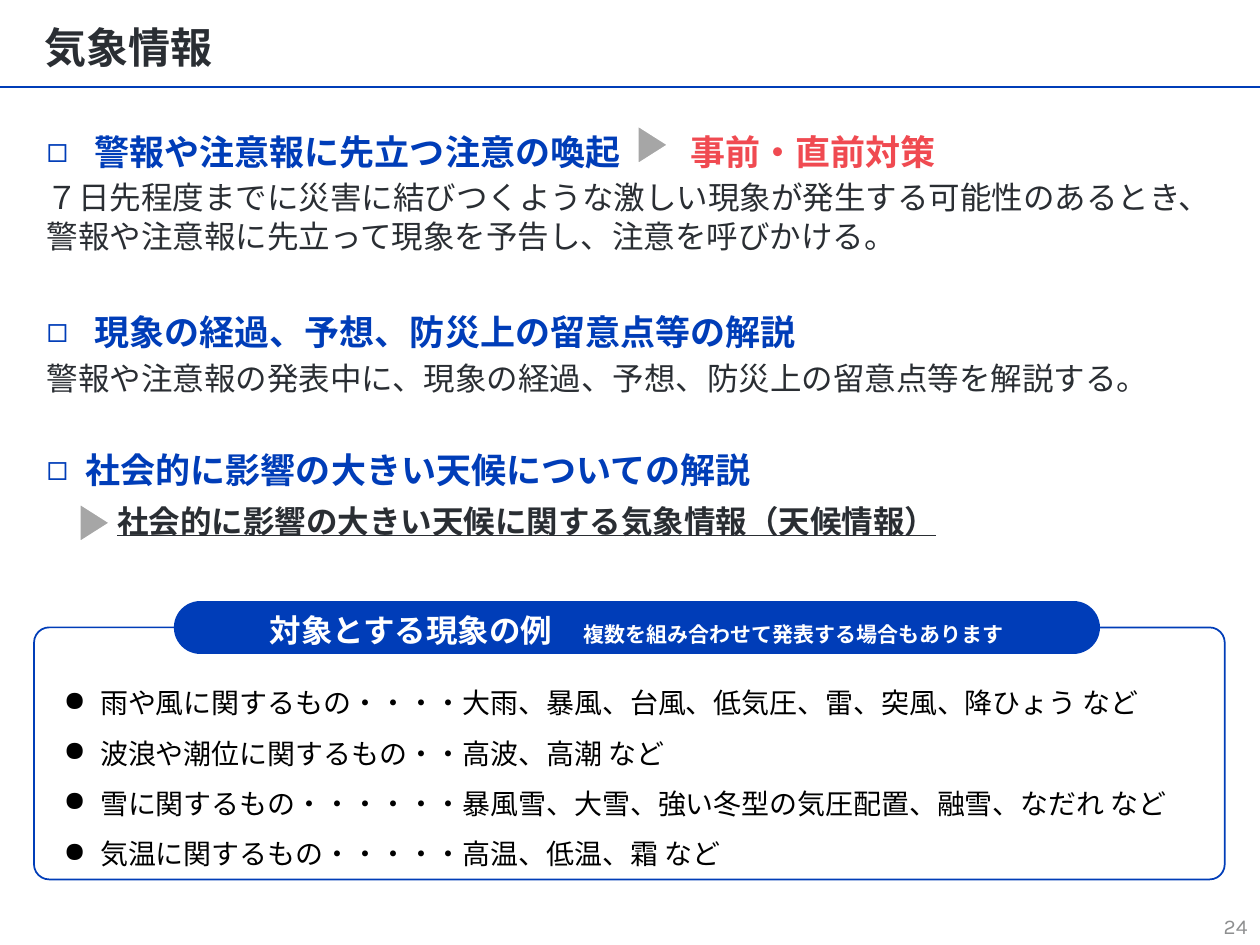
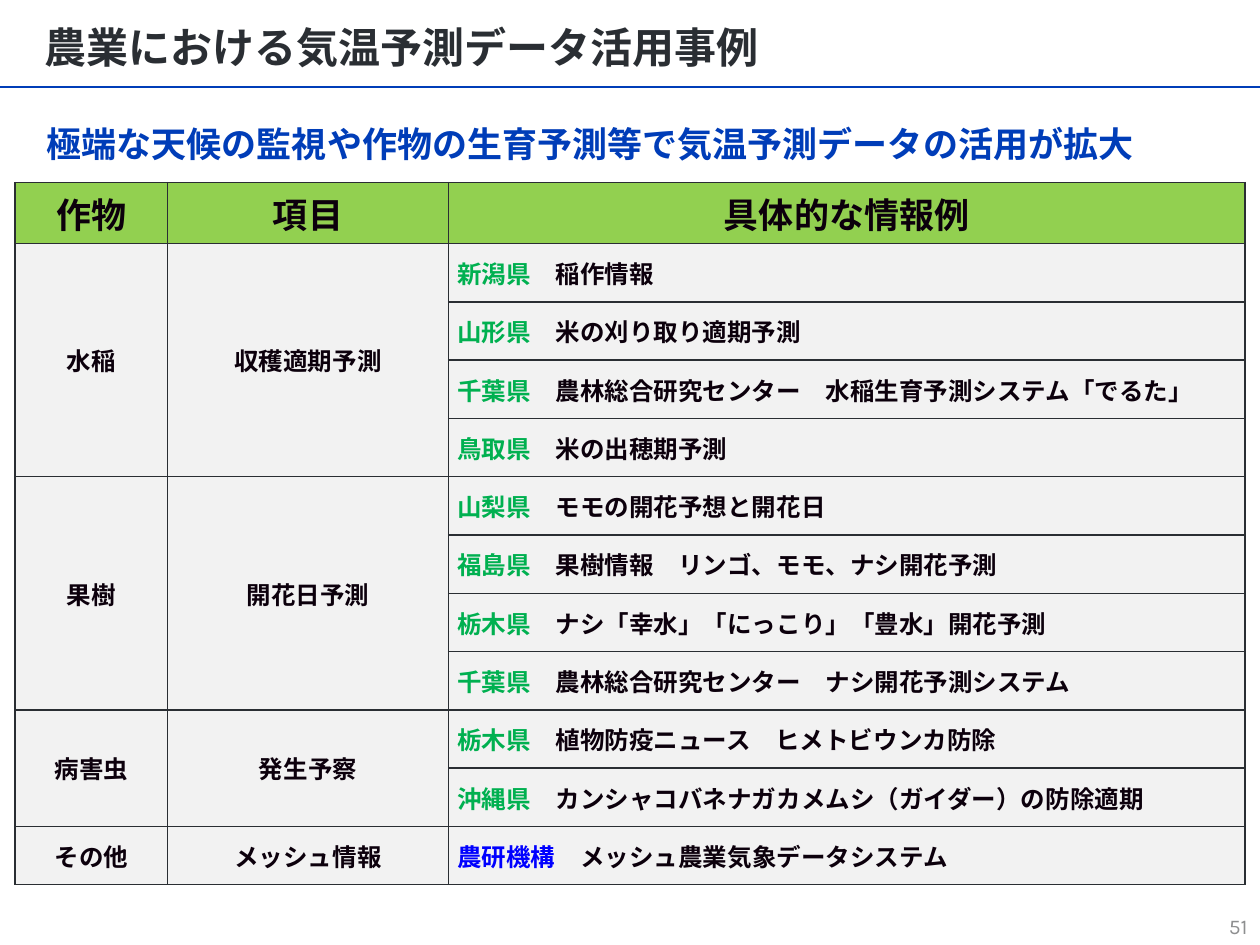
from dataclasses import dataclass

from lxml import etree
from pptx import Presentation
from pptx.dml.color import RGBColor
from pptx.enum.shapes import MSO_CONNECTOR, MSO_SHAPE
from pptx.enum.text import MSO_ANCHOR, MSO_AUTO_SIZE, PP_ALIGN
from pptx.oxml.ns import qn
from pptx.util import Inches, Pt

STRAIGHT = MSO_CONNECTOR.STRAIGHT
ROUNDED, TRIANGLE = MSO_SHAPE.ROUNDED_RECTANGLE, MSO_SHAPE.ISOSCELES_TRIANGLE
TOP, MIDDLE, BOTTOM = MSO_ANCHOR.TOP, MSO_ANCHOR.MIDDLE, MSO_ANCHOR.BOTTOM
LEFT, CENTER, RIGHT = PP_ALIGN.LEFT, PP_ALIGN.CENTER, PP_ALIGN.RIGHT
FIXED_SIZE = MSO_AUTO_SIZE.NONE

BLUE = RGBColor(0x00, 0x3D, 0xB8)
INK = RGBColor(0x2A, 0x2E, 0x33)
RED = RGBColor(0xF0, 0x4A, 0x51)
GRAY = RGBColor(0xA6, 0xA6, 0xA6)
NUMBER_GRAY = RGBColor(0x8E, 0x8F, 0x90)
WHITE = RGBColor(0xFF, 0xFF, 0xFF)
BLACK = RGBColor(0x00, 0x00, 0x00)
HEADER_GREEN = RGBColor(0x92, 0xD0, 0x50)
CELL_GRAY = RGBColor(0xF2, 0xF2, 0xF2)
CELL_INK = RGBColor(0x0C, 0x00, 0x0C)
REGION_GREEN = RGBColor(0x00, 0xB0, 0x50)
INSTITUTE_BLUE = RGBColor(0x00, 0x00, 0xFF)

KARLA, NOTO = "Karla", "Noto Sans CJK JP"


@dataclass
class TextRun:
    text: str
    size: float
    color: RGBColor
    bold: bool = False
    underline: bool = False
    font: str = KARLA
    tracking: float = 0  # extra space after each character, points


@dataclass
class TextLine:
    runs: list[TextRun]
    spacing: object = 1.0
    before: float = 0
    align: object = LEFT
    bullet: str = ""
    left: float = 0
    hanging: float = 0


@dataclass
class Crop:
    name: str
    item: str
    examples: list[tuple[str, str]]
    source_color: RGBColor = REGION_GREEN


def write_run(paragraph, item: TextRun) -> None:
    run = paragraph.add_run()
    run.text = item.text
    run.font.size = Pt(item.size)
    run.font.bold = item.bold
    run.font.underline = item.underline
    run.font.color.rgb = item.color
    run.font.name = item.font
    properties = run._r.get_or_add_rPr()
    properties.set("lang", "ja-JP")
    if item.tracking:
        properties.set("spc", str(round(item.tracking * 100)))
    etree.SubElement(properties, qn("a:ea")).set("typeface", item.font)


def write_lines(frame, lines: list[TextLine]) -> None:
    for index, line in enumerate(lines):
        paragraph = frame.add_paragraph() if index else frame.paragraphs[0]
        properties = paragraph._p.get_or_add_pPr()
        properties.set("marL", str(Inches(line.left)))
        properties.set("indent", str(Inches(-line.hanging)))
        if line.bullet:
            etree.SubElement(properties, qn("a:buChar")).set("char", line.bullet)
        else:
            etree.SubElement(properties, qn("a:buNone"))
        paragraph.alignment = line.align
        paragraph.line_spacing = line.spacing
        paragraph.space_before = Pt(line.before)
        for item in line.runs:
            write_run(paragraph, item)


def set_frame(frame, anchor, left=0.1, top=0.05, right=0.1, bottom=0.05) -> None:
    frame.word_wrap = True
    frame.auto_size = FIXED_SIZE
    frame.vertical_anchor = anchor
    frame.margin_left, frame.margin_top = Inches(left), Inches(top)
    frame.margin_right, frame.margin_bottom = Inches(right), Inches(bottom)


def place(shape, left: float, top: float, width: float, height: float) -> None:
    shape.left, shape.top = Inches(left), Inches(top)
    shape.width, shape.height = Inches(width), Inches(height)


def add_base_slide(presentation, title: str, number: str, body_top: float,
                   body_height: float, body: list[TextLine]):
    slide = presentation.slides.add_slide(presentation.slide_layouts[1])

    # Title and the rule below it
    title_shape, body_shape = slide.placeholders
    place(title_shape, 0, 0, 10, 0.68)
    set_frame(title_shape.text_frame, MIDDLE, left=0.35, top=0.16)
    write_lines(title_shape.text_frame,
                [TextLine([TextRun(title, 24, INK, bold=True)], spacing=0.9)])
    rule = slide.shapes.add_connector(STRAIGHT, 0, Inches(0.69),
                                      Inches(10), Inches(0.69))
    rule.line.color.rgb = BLUE
    rule.line.width = Pt(1.5)
    etree.SubElement(rule._element.spPr, qn("a:effectLst"))

    # Body text
    place(body_shape, 0.27, body_top, 9.45, body_height)
    set_frame(body_shape.text_frame, TOP)
    write_lines(body_shape.text_frame, body)

    # Page number
    number_box = slide.shapes.add_textbox(Inches(7.75), Inches(7.1),
                                          Inches(2.25), Inches(0.4))
    set_frame(number_box.text_frame, BOTTOM)
    write_lines(number_box.text_frame,
                [TextLine([TextRun(number, 12, NUMBER_GRAY)], align=RIGHT)])
    return slide


def add_preset(slide, kind, box: tuple[float, float, float, float],
               fill: RGBColor | None, line: RGBColor | None, line_width: float = 1):
    shape = slide.shapes.add_shape(kind, *(Inches(value) for value in box))
    shape.shadow.inherit = False
    if fill is None:
        shape.fill.background()
    else:
        shape.fill.solid()
        shape.fill.fore_color.rgb = fill
    if line is None:
        shape.line.fill.background()
    else:
        shape.line.color.rgb = line
        shape.line.width = Pt(line_width)
    return shape


def heading(text: str, before: float = 0, indent: float = 0.38) -> TextLine:
    return TextLine([TextRun(text, 20, BLUE, bold=True)], Pt(25), before,
                    bullet="◻", left=indent, hanging=indent)


def explanation(text: str, before: float) -> TextLine:
    return TextLine([TextRun(text, 18, INK)], Pt(22), before)


def build_weather_information(presentation) -> None:
    first = heading("警報や注意報に先立つ注意の喚起")
    first.runs += [TextRun("\u3000".strip() or "　", 20, BLUE, tracking=20),
                   TextRun("事前・直前対策", 20, RED, bold=True)]
    body = [
        first,
        explanation("７日先程度までに災害に結びつくような激しい現象が発生する可能性のあるとき、"
                    "警報や注意報に先立って現象を予告し、注意を呼びかける。", 3),
        heading("現象の経過、予想、防災上の留意点等の解説", 31),
        explanation("警報や注意報の発表中に、現象の経過、予想、防災上の留意点等を解説する。", 3.5),
        heading("社会的に影響の大きい天候についての解説", 28.5, 0.31),
        TextLine([TextRun("社会的に影響の大きい天候に関する気象情報（天候情報）", 18, INK,
                          bold=True, underline=True)], Pt(22), 6, left=0.56),
    ]
    slide = add_base_slide(presentation, "気象情報", "24", 0.97, 6.5, body)

    # Framed list of phenomena
    examples = ["雨や風に関するもの・・・・大雨、暴風、台風、低気圧、雷、突風、降ひょう など",
                "波浪や潮位に関するもの・・高波、高潮 など",
                "雪に関するもの・・・・・・暴風雪、大雪、強い冬型の気圧配置、融雪、なだれ など",
                "気温に関するもの・・・・・高温、低温、霜 など"]
    panel = add_preset(slide, ROUNDED, (0.27, 4.98, 9.45, 2), None, BLUE)
    panel.adjustments[0] = 0.06
    set_frame(panel.text_frame, MIDDLE, 0.2, 0.38, 0.2, 0.12)
    write_lines(panel.text_frame,
                [TextLine([TextRun(text, 16, BLACK, font=NOTO)], Pt(28.75),
                          bullet="●", left=0.29, hanging=0.29) for text in examples])

    # Banner over the frame
    banner = add_preset(slide, ROUNDED, (1.38, 4.77, 7.35, 0.42), BLUE, None)
    banner.adjustments[0] = 0.5
    set_frame(banner.text_frame, MIDDLE, top=0.08)
    write_lines(banner.text_frame, [TextLine([
        TextRun("対象とする現象の例　", 18, WHITE, bold=True, font=NOTO),
        TextRun("複数を組み合わせて発表する場合もあります", 12, WHITE, bold=True, font=NOTO),
    ], align=CENTER)])

    # Pointers
    for left, top in ((5.02, 1.02), (0.59, 4.02)):
        pointer = add_preset(slide, TRIANGLE, (left, top, 0.33, 0.26), GRAY, WHITE, 2)
        pointer.rotation = 90


def add_borders(cell) -> None:
    properties = cell._tc.get_or_add_tcPr()
    for index, side in enumerate(("a:lnL", "a:lnR", "a:lnT", "a:lnB")):
        border = etree.Element(qn(side), w=str(Pt(1)))
        fill = etree.SubElement(border, qn("a:solidFill"))
        etree.SubElement(fill, qn("a:srgbClr")).set("val", str(INK))
        properties.insert(index, border)


def write_cell(cell, runs: list[TextRun], align) -> None:
    cell.vertical_anchor = MIDDLE
    write_lines(cell.text_frame, [TextLine(runs, align=align)])


def cell_run(text: str, color: RGBColor = CELL_INK, size: float = 14) -> TextRun:
    return TextRun(text, size, color, bold=True, font=NOTO)


def build_agriculture_cases(presentation) -> None:
    lead = TextRun("極端な天候の監視や作物の生育予測等で気温予測データの活用が拡大", 20, BLUE, bold=True)
    slide = add_base_slide(presentation, "農業における気温予測データ活用事例", "51",
                           0.84, 6.46, [TextLine([lead], Pt(30))])
    crops = [
        Crop("水稲", "収穫適期予測", [
            ("新潟県", "稲作情報"),
            ("山形県", "米の刈り取り適期予測"),
            ("千葉県", "農林総合研究センター　水稲生育予測システム「でるた」"),
            ("鳥取県", "米の出穂期予測")]),
        Crop("果樹", "開花日予測", [
            ("山梨県", "モモの開花予想と開花日"),
            ("福島県", "果樹情報　リンゴ、モモ、ナシ開花予測"),
            ("栃木県", "ナシ「幸水」「にっこり」「豊水」開花予測"),
            ("千葉県", "農林総合研究センター　ナシ開花予測システム")]),
        Crop("病害虫", "発生予察", [
            ("栃木県", "植物防疫ニュース　ヒメトビウンカ防除"),
            ("沖縄県", "カンシャコバネナガカメムシ（ガイダー）の防除適期")]),
        Crop("その他", "メッシュ情報", [
            ("農研機構", "メッシュ農業気象データシステム")], INSTITUTE_BLUE),
    ]

    # Grid: a header row and equal rows below it
    example_count = sum(len(crop.examples) for crop in crops)
    table = slide.shapes.add_table(example_count + 1, 3, Inches(0.12), Inches(1.45),
                                   Inches(9.76), Inches(5.57)).table
    table.first_row = table.horz_banding = False
    for column, width in zip(table.columns, (1.21, 2.23, 6.32)):
        column.width = Inches(width)
    for index, row in enumerate(table.rows):
        row.height = Inches((5.57 - 0.48) / example_count if index else 0.48)
        for cell in row.cells:
            cell.margin_left = cell.margin_right = Inches(0.07)
            cell.margin_top = cell.margin_bottom = Inches(0.04)
            cell.fill.solid()
            cell.fill.fore_color.rgb = CELL_GRAY if index else HEADER_GREEN
            add_borders(cell)

    # Contents
    for column, text in enumerate(("作物", "項目", "具体的な情報例")):
        write_cell(table.cell(0, column), [cell_run(text, size=20)], CENTER)
    first_row = 1
    for crop in crops:
        last_row = first_row + len(crop.examples) - 1
        for column, text in enumerate((crop.name, crop.item)):
            cell = table.cell(first_row, column)
            if last_row > first_row:
                cell.merge(table.cell(last_row, column))
            write_cell(cell, [cell_run(text)], CENTER)
        for row, (source, example) in enumerate(crop.examples, first_row):
            write_cell(table.cell(row, 2), [cell_run(source + "　", crop.source_color),
                                            cell_run(example)], LEFT)
        first_row = last_row + 1


def main() -> None:
    presentation = Presentation()
    presentation.slide_width, presentation.slide_height = Inches(10), Inches(7.5)
    build_weather_information(presentation)
    build_agriculture_cases(presentation)
    presentation.save("out.pptx")


if __name__ == "__main__":
    main()
